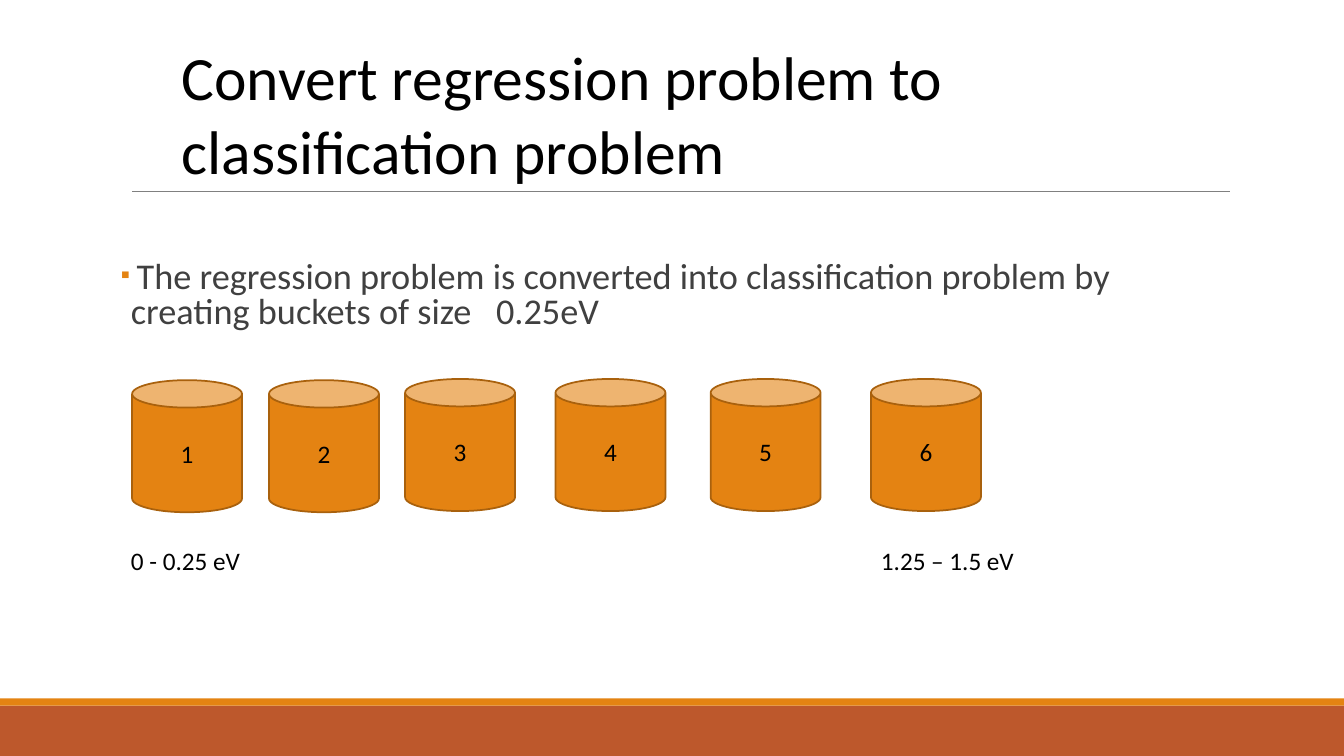
from lxml.etree import SubElement
from pptx import Presentation
from pptx.dml.color import RGBColor
from pptx.enum.shapes import MSO_CONNECTOR, MSO_SHAPE
from pptx.enum.text import MSO_ANCHOR, MSO_AUTO_SIZE, PP_ALIGN
from pptx.oxml.ns import qn
from pptx.util import Cm, Pt

FONT = "Calibri"
ORANGE, RUST, BROWN = "E48312", "BD582C", "A9610D"
BLACK, DARK_GREY, GREY = "000000", "404040", "808080"
SLIDE_WIDTH, SLIDE_HEIGHT = 33.87, 19.05
CAN_LEFTS = [3.33, 6.78, 10.21, 14.0, 17.91, 21.95]
CAN_TOPS = [9.58, 9.58, 9.55, 9.55, 9.55, 9.55]


def color(hex_string):
    return RGBColor.from_string(hex_string)


def style_paragraph(para, size, hex_color, align=PP_ALIGN.LEFT):
    para.alignment = align
    para.font.name = FONT
    para.font.size = Pt(size)
    para.font.color.rgb = color(hex_color)


def add_filled_shape(page, preset, left, top, width, height, fill):
    shape = page.shapes.add_shape(preset, Cm(left), Cm(top), Cm(width), Cm(height))
    shape.shadow.inherit = False
    shape.fill.solid()
    shape.fill.fore_color.rgb = color(fill)
    shape.line.fill.background()
    return shape


def add_rule(page, left, right, y):
    rule = page.shapes.add_connector(
        MSO_CONNECTOR.STRAIGHT, Cm(left), Cm(y), Cm(right), Cm(y))
    rule.line.color.rgb = color(GREY)
    rule.line.width = Pt(0.5)
    SubElement(rule._element.spPr, qn("a:effectLst"))


def set_title(page, text):
    title = page.shapes.title
    title.left, title.top = Cm(3.05), Cm(0.79)
    title.width, title.height = Cm(27.94), Cm(4.04)
    frame = title.text_frame
    frame.text = text
    frame.auto_size = MSO_AUTO_SIZE.NONE
    frame.vertical_anchor = MSO_ANCHOR.BOTTOM
    para = frame.paragraphs[0]
    style_paragraph(para, 44, BLACK)
    para._p.get_or_add_pPr().set("marL", str(Cm(1.27)))


def add_bullet(para, symbol, hex_color, indent):
    properties = para._p.get_or_add_pPr()
    properties.set("marL", str(indent))
    properties.set("indent", str(-indent))
    bullet_color = SubElement(properties, qn("a:buClr"))
    SubElement(bullet_color, qn("a:srgbClr"), val=hex_color)
    SubElement(properties, qn("a:buFont"), typeface=FONT)
    SubElement(properties, qn("a:buChar"), char=symbol)


def add_body(page, text):
    box = page.shapes.add_textbox(Cm(3.05), Cm(5.13), Cm(27.94), Cm(3.23))
    frame = box.text_frame
    frame.word_wrap = True
    frame.margin_left = frame.margin_right = 0
    frame.margin_top = Cm(1.47)
    para = frame.paragraphs[0]
    para.line_spacing = 0.8
    # The small leading space sets the size of the bullet
    for content, size in ((" ", 18.5), (text, 25.9)):
        span = para.add_run()
        span.text = content
        span.font.name = FONT
        span.font.size = Pt(size)
        span.font.color.rgb = color(DARK_GREY)
    add_bullet(para, "▪", ORANGE, Cm(0.25))


def add_bucket(page, left, top, number):
    can = add_filled_shape(page, MSO_SHAPE.CAN, left, top, 2.77, 3.33, ORANGE)
    can.line.color.rgb = color(BROWN)
    can.line.width = Pt(1.25)
    frame = can.text_frame
    frame.text = str(number)
    frame.vertical_anchor = MSO_ANCHOR.MIDDLE
    style_paragraph(frame.paragraphs[0], 18, BLACK, PP_ALIGN.CENTER)


def add_label(page, left, width, text):
    box = page.shapes.add_textbox(Cm(left), Cm(13.61), Cm(width), Cm(1.02))
    frame = box.text_frame
    frame.text = text
    frame.word_wrap = False
    frame.auto_size = MSO_AUTO_SIZE.SHAPE_TO_FIT_TEXT
    style_paragraph(frame.paragraphs[0], 18, BLACK)


def main():
    deck = Presentation()
    deck.slide_width, deck.slide_height = Cm(SLIDE_WIDTH), Cm(SLIDE_HEIGHT)
    page = deck.slides.add_slide(deck.slide_layouts[5])

    # Footer bands and title rule
    for top, height, fill in ((17.78, 1.27, RUST), (17.6, 0.18, ORANGE)):
        add_filled_shape(page, MSO_SHAPE.RECTANGLE, 0, top, SLIDE_WIDTH, height, fill)
    add_rule(page, 3.33, 31.0, 4.83)

    # Title and statement
    set_title(page, "Convert regression problem to classification problem")
    add_body(page, "The regression problem is converted into classification "
                   "problem by creating buckets of size   0.25eV")

    # Numbered buckets
    for number, (left, top) in enumerate(zip(CAN_LEFTS, CAN_TOPS), start=1):
        add_bucket(page, left, top, number)

    # Energy ranges of the first and last bucket
    add_label(page, 3.05, 3.3, "0 - 0.25 eV")
    add_label(page, 21.95, 3.91, "1.25 – 1.5 eV")

    deck.save("out.pptx")


if __name__ == "__main__":
    main()
